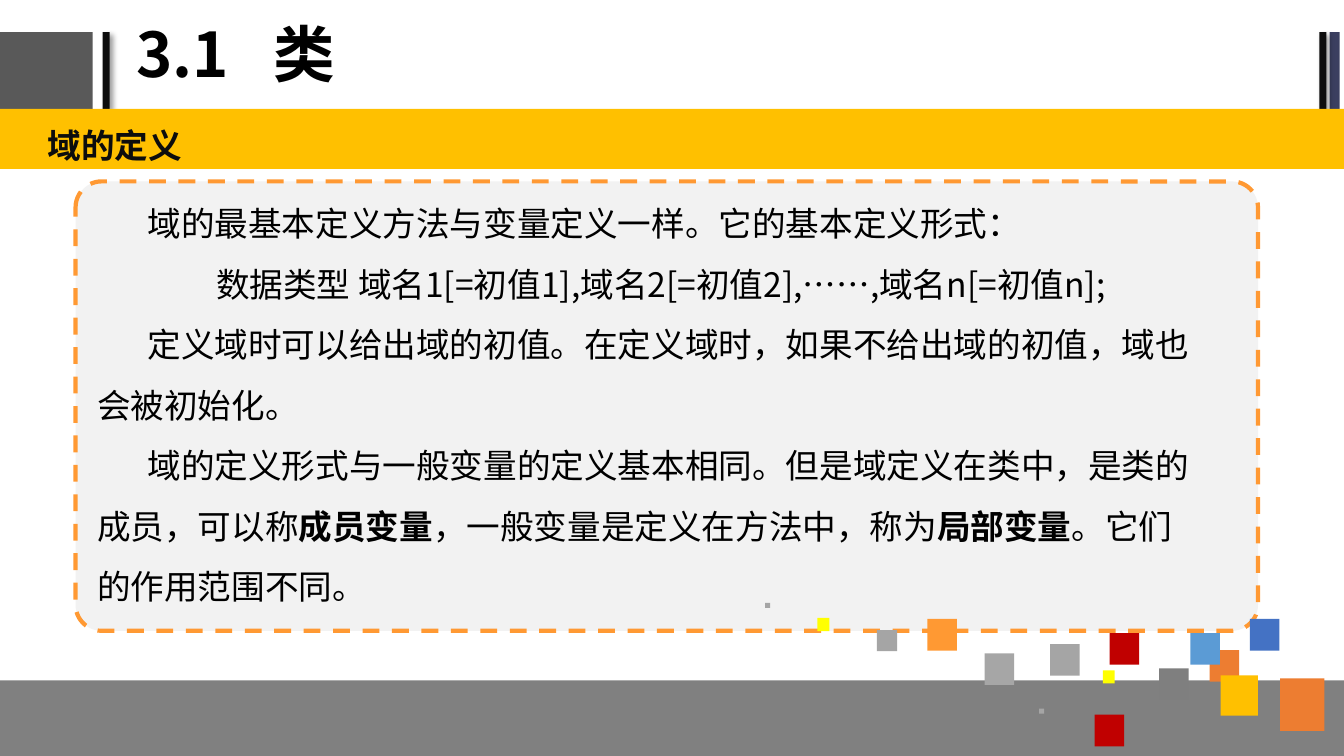
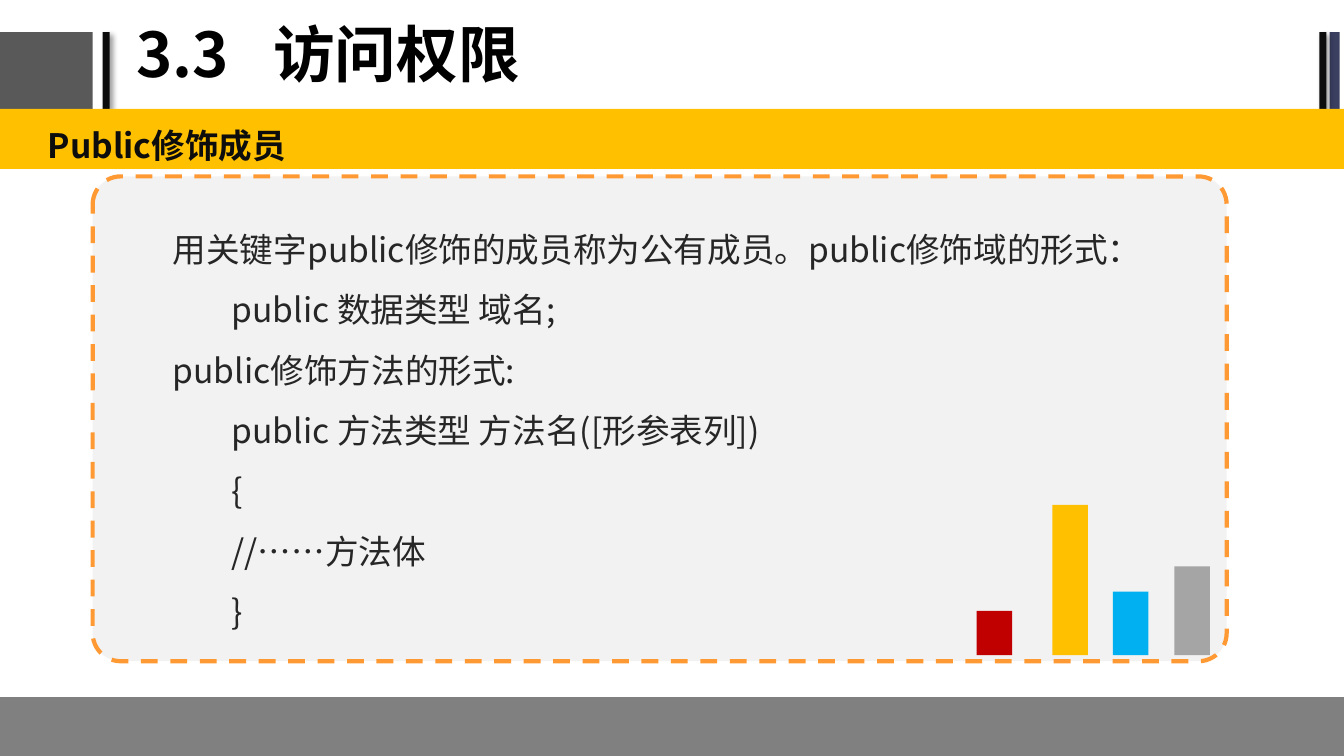
from lxml.etree import SubElement
from pptx import Presentation
from pptx.dml.color import RGBColor
from pptx.enum.dml import MSO_LINE
from pptx.enum.shapes import MSO_SHAPE
from pptx.enum.text import MSO_ANCHOR, MSO_AUTO_SIZE, PP_ALIGN
from pptx.oxml.ns import qn
from pptx.util import Pt

FONT = "Noto Sans CJK SC"
BLACK = RGBColor(0x00, 0x00, 0x00)
INK = RGBColor(0x0D, 0x0D, 0x0D)
CHARCOAL = RGBColor(0x26, 0x26, 0x26)
DARK_GREY = RGBColor(0x59, 0x59, 0x59)
MID_GREY = RGBColor(0x7F, 0x7F, 0x7F)
FLOOR_GREY = RGBColor(0x80, 0x80, 0x80)
GREY = RGBColor(0xA5, 0xA5, 0xA5)
SOFT_GREY = RGBColor(0xA6, 0xA6, 0xA6)
PALE = RGBColor(0xF2, 0xF2, 0xF2)
NAVY = RGBColor(0x3B, 0x3F, 0x60)
AMBER = RGBColor(0xFF, 0xC0, 0x00)
ORANGE = RGBColor(0xFF, 0x99, 0x33)
RUST = RGBColor(0xED, 0x7D, 0x31)
RED = RGBColor(0xC0, 0x00, 0x00)
YELLOW = RGBColor(0xFF, 0xFF, 0x00)
SKY = RGBColor(0x5B, 0x9B, 0xD5)
CYAN = RGBColor(0x00, 0xB0, 0xF0)
BLUE = RGBColor(0x44, 0x72, 0xC4)

HUGE, BIG, MEDIUM = (31.7, 37.4), (26.6, 28.8), (21.1, 22.6)
SMALL, TINY, DOT = (14.4, 15.1), (8.6, 9.4), (3.6, 3.6)
CONFETTI = [
    (914.4, 484.6, HUGE, RUST),
    (864, 464.4, MEDIUM, RUST),
    (871.9, 482.4, BIG, AMBER),
    (850.3, 452.2, MEDIUM, SKY),
    (742.3, 506.2, DOT, GREY),
    (892.8, 442.1, MEDIUM, BLUE),
    (787.7, 478.8, TINY, YELLOW),
    (750.2, 460.1, MEDIUM, GREY),
    (792.7, 452.2, MEDIUM, RED),
    (828, 477.4, MEDIUM, MID_GREY),
    (781.9, 510.5, MEDIUM, RED),
    (546.5, 430.6, DOT, GREY),
    (583.9, 441.4, TINY, YELLOW),
    (626.4, 450, SMALL, GREY),
    (662.4, 442.1, MEDIUM, ORANGE),
    (703.4, 466.6, MEDIUM, SOFT_GREY),
]
BARS = [(838.8, 63.4, GREY), (794.9, 45.4, CYAN), (751.7, 107.3, AMBER), (697.7, 31.7, RED)]
BAR_BASE = 468
BAR_WIDTH = 25.4

FIELD_TEXT = [
    (36, "域的最基本定义方法与变量定义一样。它的基本定义形式："),
    (85, "数据类型 域名1[=初值1],域名2[=初值2],……,域名n[=初值n];"),
    (36, "定义域时可以给出域的初值。在定义域时，如果不给出域的初值，域也会被初始化。"),
    (36, "域的定义形式与一般变量的定义基本相同。但是域定义在类中，是类的成员，可以称"
         "*成员变量*，一般变量是定义在方法中，称为*局部变量*。它们的作用范围不同。"),
]
ACCESS_TEXT = [
    (36, "用关键字public修饰的成员称为公有成员。public修饰域的形式："),
    (78, "public 数据类型 域名;"),
    (36, "public修饰方法的形式:"),
    (78, "public 方法类型 方法名([形参表列])"),
    (78, "{"),
    (78, "//……方法体"),
    (78, "}"),
]


class Lesson:
    """Holds the deck, its shared style and the current slide."""

    def __init__(self):
        self.deck = Presentation()
        self.deck.slide_width, self.deck.slide_height = Pt(960), Pt(540)
        self.page = None

    def start(self, title, heading, floor_top):
        """Add a page with the frame, title, heading band and floor."""
        self.page = self.deck.slides.add_slide(self.deck.slide_layouts[5])
        self.block(0, 23, 66.2, 54.8, DARK_GREY)
        self.shadow(self.block(73.4, 23, 5, 54.8, INK))
        self.block(949.7, 23, 7.2, 54.8, NAVY)
        self.shadow(self.block(942.5, 23, 5, 54.8, INK))
        self.title(title)
        self.block(0, 77.8, 960, 42.8, AMBER)
        self.text(24.5, 78.5, 935.5, 41.8, [(0, heading)], INK, 1.2, True)
        self.block(0, floor_top, 960, 540 - floor_top, FLOOR_GREY)

    def title(self, words):
        """Place the title, aligning the topic at a tab stop."""
        box = self.page.shapes.title
        box.left, box.top, box.width, box.height = Pt(90), Pt(1.4), Pt(610), Pt(79)
        frame = box.text_frame
        frame.auto_size = MSO_AUTO_SIZE.NONE
        frame.vertical_anchor = MSO_ANCHOR.MIDDLE
        para = frame.paragraphs[0]
        para.text = words
        para.alignment = PP_ALIGN.LEFT
        para.line_spacing = 0.9
        stops = SubElement(para._p.get_or_add_pPr(), qn("a:tabLst"))
        SubElement(stops, qn("a:tab"), pos=str(Pt(98)), algn="l")
        self.style(para.runs[0], 44, BLACK, True)

    def block(self, left, top, width, height, fill, kind=MSO_SHAPE.RECTANGLE):
        """Draw a flat filled shape without an outline."""
        shape = self.page.shapes.add_shape(kind, Pt(left), Pt(top), Pt(width), Pt(height))
        shape.shadow.inherit = False
        shape.fill.solid()
        shape.fill.fore_color.rgb = fill
        shape.line.fill.background()
        return shape

    def shadow(self, shape):
        """Give a shape a soft shadow to the lower right."""
        effects = shape._element.spPr.find(qn("a:effectLst"))
        outer = SubElement(effects, qn("a:outerShdw"), blurRad=str(Pt(4)), dist=str(Pt(3)),
                           dir="2700000", algn="tl", rotWithShape="0")
        color = SubElement(outer, qn("a:srgbClr"), val=str(BLACK))
        SubElement(color, qn("a:alpha"), val="40000")

    def panel(self, left, top, width, height):
        """Draw the dashed rounded panel behind the body text."""
        shape = self.block(left, top, width, height, PALE, MSO_SHAPE.ROUNDED_RECTANGLE)
        shape.adjustments[0] = 0.058
        shape.line.color.rgb = ORANGE
        shape.line.width = Pt(3)
        shape.line.dash_style = MSO_LINE.DASH

    def text(self, left, top, width, height, lines, color, spacing=1.5, bold=False):
        """Write (indent, words) paragraphs, with asterisks around bold spans."""
        box = self.page.shapes.add_textbox(Pt(left), Pt(top), Pt(width), Pt(height))
        frame = box.text_frame
        frame.word_wrap = True
        frame.margin_left = frame.margin_right = Pt(9.6)
        frame.margin_top = frame.margin_bottom = Pt(4.8)
        for number, (indent, words) in enumerate(lines):
            para = frame.add_paragraph() if number else frame.paragraphs[0]
            para.line_spacing = spacing
            properties = para._p.get_or_add_pPr()
            properties.set("marL", "0")
            properties.set("indent", str(Pt(indent)))
            for index, part in enumerate(words.split("*")):
                span = para.add_run()
                span.text = part
                self.style(span, 24, color, bold or index % 2 == 1)

    def style(self, span, size, color, bold):
        """Set the font of a run for Latin and Chinese characters."""
        span.font.size = Pt(size)
        span.font.bold = bold
        span.font.color.rgb = color
        span.font.name = FONT
        SubElement(span._r.get_or_add_rPr(), qn("a:ea"), typeface=FONT)


def main():
    """Build and save the two pages."""
    lesson = Lesson()

    lesson.start("3.1\t类", "域的定义", 486)
    lesson.panel(54, 129.6, 844.6, 321)
    lesson.text(59.8, 126, 804.2, 308, FIELD_TEXT, BLACK)
    for left, top, (width, height), color in CONFETTI:
        lesson.block(left, top, width, height, color)

    lesson.start("3.3\t访问权限", "Public修饰成员", 498)
    lesson.panel(66.2, 126, 810, 346.3)
    lesson.text(77.8, 144, 754.6, 354, ACCESS_TEXT, CHARCOAL)
    for left, height, color in BARS:
        lesson.block(left, BAR_BASE - height, BAR_WIDTH, height, color)

    lesson.deck.save("out.pptx")


if __name__ == "__main__":
    main()
